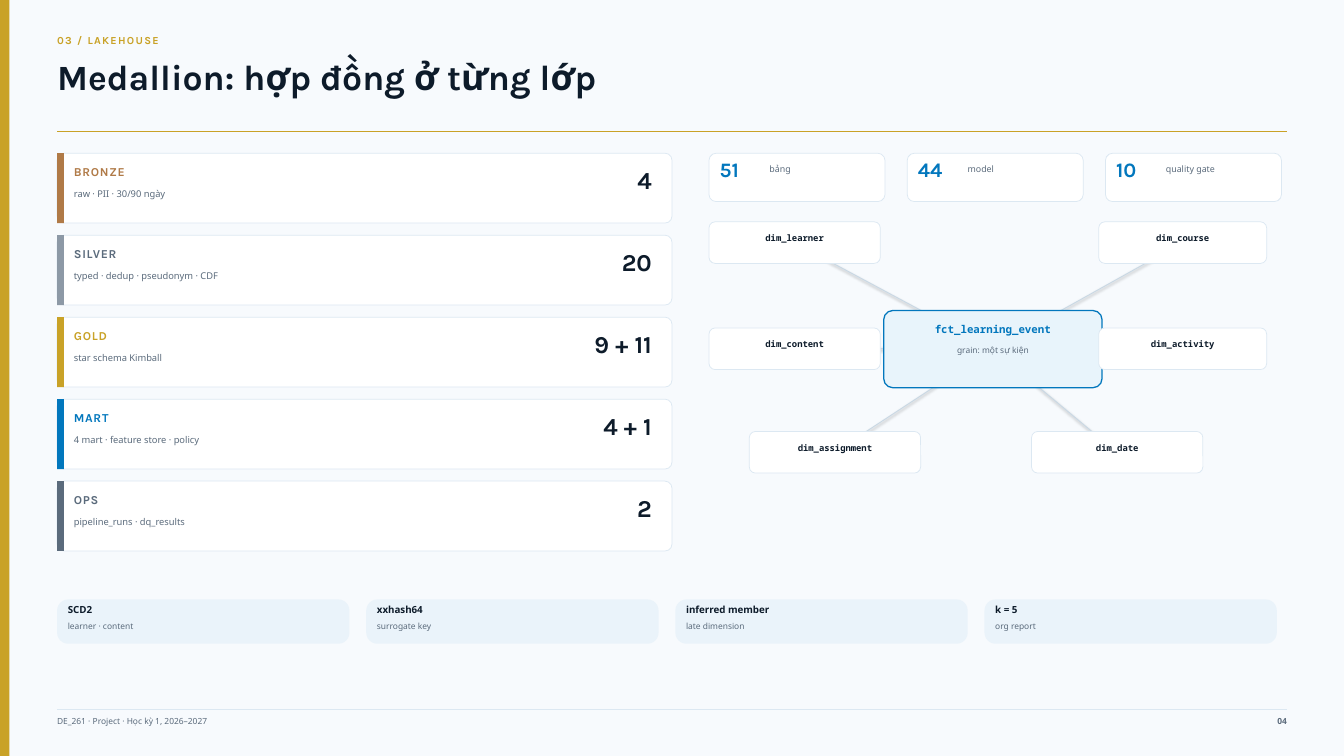
from pptx import Presentation
from pptx import util as u
from pptx.dml.color import RGBColor
from pptx.enum import shapes, text

PX = 9144  # EMU per px, 100 px to the inch
SLIDE_W, SLIDE_H = 2000, 1125
LEFT, CONTENT_W = 85, 1830

COLORS = {
    "page": "F7FAFD", "white": "FFFFFF", "ink": "0D1B2A", "muted": "5B6B7C",
    "gold": "C9A227", "blue": "0277BD", "bronze": "B07A47", "silver": "8D99A6",
    "border": "DCE8F2", "spoke": "C9D8E4", "hub": "E8F4FB", "note": "EAF3FA",
}
HEAD, BODY, MONO = "Karla", "Noto Sans", "Noto Sans Mono"
ALIGN = {"l": None, "c": text.PP_ALIGN.CENTER, "r": text.PP_ALIGN.RIGHT}


def px(*lengths):
    return [u.Emu(length * PX) for length in lengths]


def rgb(name):
    return RGBColor.from_string(COLORS[name])


def add_label(slide, box, words, size, font, color, bold=False, align="l",
              tracking=0, line_spacing=None):
    frame = slide.shapes.add_textbox(*px(*box)).text_frame
    frame.word_wrap = True
    frame.margin_left = frame.margin_right = 0
    frame.margin_top = frame.margin_bottom = 0
    paragraph = frame.paragraphs[0]
    paragraph.text = words
    paragraph.alignment = ALIGN[align]
    if line_spacing:
        paragraph.line_spacing = line_spacing
    run = paragraph.runs[0]
    run.font.size = u.Pt(size)
    run.font.name = font
    run.font.bold = bold
    run.font.color.rgb = rgb(color)
    if tracking:
        run.font._element.set("spc", str(tracking))


def add_panel(slide, box, fill, border=None, weight=0.8, radius=None):
    kind = shapes.MSO_SHAPE.ROUNDED_RECTANGLE if radius else shapes.MSO_SHAPE.RECTANGLE
    panel = slide.shapes.add_shape(kind, *px(*box))
    panel.shadow.inherit = False
    panel.fill.solid()
    panel.fill.fore_color.rgb = rgb(fill)
    if radius:
        panel.adjustments[0] = radius
    if border:
        panel.line.color.rgb = rgb(border)
        panel.line.width = u.Pt(weight)
    else:
        panel.line.fill.background()


def add_line(slide, start, end, color, weight):
    """Draw a straight line that keeps the theme's soft shadow."""
    line = slide.shapes.add_connector(shapes.MSO_CONNECTOR.STRAIGHT, *px(*start, *end))
    line.line.color.rgb = rgb(color)
    line.line.width = u.Pt(weight)


def center(box):
    x, y, w, h = box
    return x + w // 2, y + h // 2


def add_header(slide, box):
    x, y, w, h = box
    add_label(slide, (x, y, 1200, 28), "03 / LAKEHOUSE", 11.5, HEAD, "gold", True,
              tracking=140)
    add_label(slide, (x, y + 36, 1820, 95), "Medallion: hợp đồng ở từng lớp", 38, HEAD,
              "ink", True, line_spacing=0.95)
    add_line(slide, (x, y + h), (x + w, y + h), "gold", 1)


def add_footer(slide, box):
    x, y, w, h = box
    add_line(slide, (x, y), (x + w, y), "border", 0.75)
    add_label(slide, (x, y + 11, 1200, h), "DE_261 · Project · Học kỳ 1, 2026–2027", 9,
              BODY, "muted")
    add_label(slide, (x + w - 215, y + 11, 215, h), "04", 9, BODY, "muted", True, "r")


def add_layer(slide, box, name, detail, count, bar_color, name_color):
    x, y, w, h = box
    add_panel(slide, box, "white", "border", radius=0.1)
    add_panel(slide, (x, y, 10, h), bar_color)
    add_label(slide, (x + 25, y + 16, 220, 28), name, 13, HEAD, name_color, True,
              tracking=80)
    add_label(slide, (x + 25, y + 52, 600, 28), detail, 10, BODY, "muted")
    add_label(slide, (x + w - 225, y + 18, 195, 55), count, 26, HEAD, "ink", True, "r")


def add_metric(slide, box, value, unit):
    x, y, w, h = box
    add_panel(slide, box, "white", "border", radius=0.15)
    add_label(slide, (x + 16, y + 6, 85, 48), value, 22, HEAD, "blue", True)
    add_label(slide, (x + 90, y + 16, 160, 24), unit, 9.5, BODY, "muted")


def add_star_schema(slide, box):
    x, y, w, h = box
    hub = (x + 260, y + 132, 325, 115)
    dimensions = {
        "dim_learner": (x, y, 255, 62),
        "dim_course": (x + w - 250, y, 250, 62),
        "dim_content": (x, y + 158, 255, 62),
        "dim_activity": (x + w - 250, y + 158, 250, 62),
        "dim_assignment": (x + 60, y + h - 62, 255, 62),
        "dim_date": (x + 480, y + h - 62, 255, 62),
    }
    # Spokes lie behind the tables
    for dimension in dimensions.values():
        add_line(slide, center(dimension), center(hub), "spoke", 1)

    # Fact table
    hub_x, hub_y, hub_w, _ = hub
    add_panel(slide, hub, "hub", "blue", 1.4, 0.12)
    add_label(slide, (hub_x + 16, hub_y + 18, hub_w - 32, 28), "fct_learning_event",
              11.5, MONO, "blue", True, "c")
    add_label(slide, (hub_x + 16, hub_y + 52, hub_w - 32, 24), "grain: một sự kiện",
              9, BODY, "muted", align="c")

    # Dimension tables
    for name, dimension in dimensions.items():
        dim_x, dim_y, dim_w, _ = dimension
        add_panel(slide, dimension, "white", "border", radius=0.15)
        add_label(slide, (dim_x + 8, dim_y + 16, dim_w - 16, 26), name, 9.5, MONO,
                  "ink", True, "c")


def add_note(slide, box, term, meaning):
    x, y, w, h = box
    add_panel(slide, box, "note", radius=0.25)
    add_label(slide, (x + 16, y + 6, 400, 24), term, 10.5, BODY, "ink", True)
    add_label(slide, (x + 16, y + 32, 400, 22), meaning, 9, BODY, "muted")


def main():
    deck = Presentation()
    deck.slide_width, deck.slide_height = px(SLIDE_W, SLIDE_H)
    slide = deck.slides.add_slide(deck.slide_layouts[6])
    slide.background.fill.solid()
    slide.background.fill.fore_color.rgb = rgb("page")

    # Frame of the page
    add_panel(slide, (0, 0, 14, SLIDE_H), "gold")
    add_header(slide, (LEFT, 50, CONTENT_W, 145))
    add_footer(slide, (LEFT, 1055, CONTENT_W, 26))

    # Medallion layers
    layers = [
        ("BRONZE", "raw · PII · 30/90 ngày", "4", "bronze", "bronze"),
        ("SILVER", "typed · dedup · pseudonym · CDF", "20", "silver", "muted"),
        ("GOLD", "star schema Kimball", "9 + 11", "gold", "gold"),
        ("MART", "4 mart · feature store · policy", "4 + 1", "blue", "blue"),
        ("OPS", "pipeline_runs · dq_results", "2", "muted", "muted"),
    ]
    for row, layer in enumerate(layers):
        add_layer(slide, (LEFT, 228 + 122 * row, 915, 104), *layer)

    # Totals and star schema
    metrics = [("51", "bảng"), ("44", "model"), ("10", "quality gate")]
    for column, metric in enumerate(metrics):
        add_metric(slide, (1055 + 295 * column, 228, 262, 72), *metric)
    add_star_schema(slide, (1055, 330, 830, 374))

    # Modelling notes
    notes = [
        ("SCD2", "learner · content"),
        ("xxhash64", "surrogate key"),
        ("inferred member", "late dimension"),
        ("k = 5", "org report"),
    ]
    for column, note in enumerate(notes):
        add_note(slide, (LEFT + 460 * column, 892, 435, 66), *note)

    deck.save("out.pptx")


if __name__ == "__main__":
    main()
